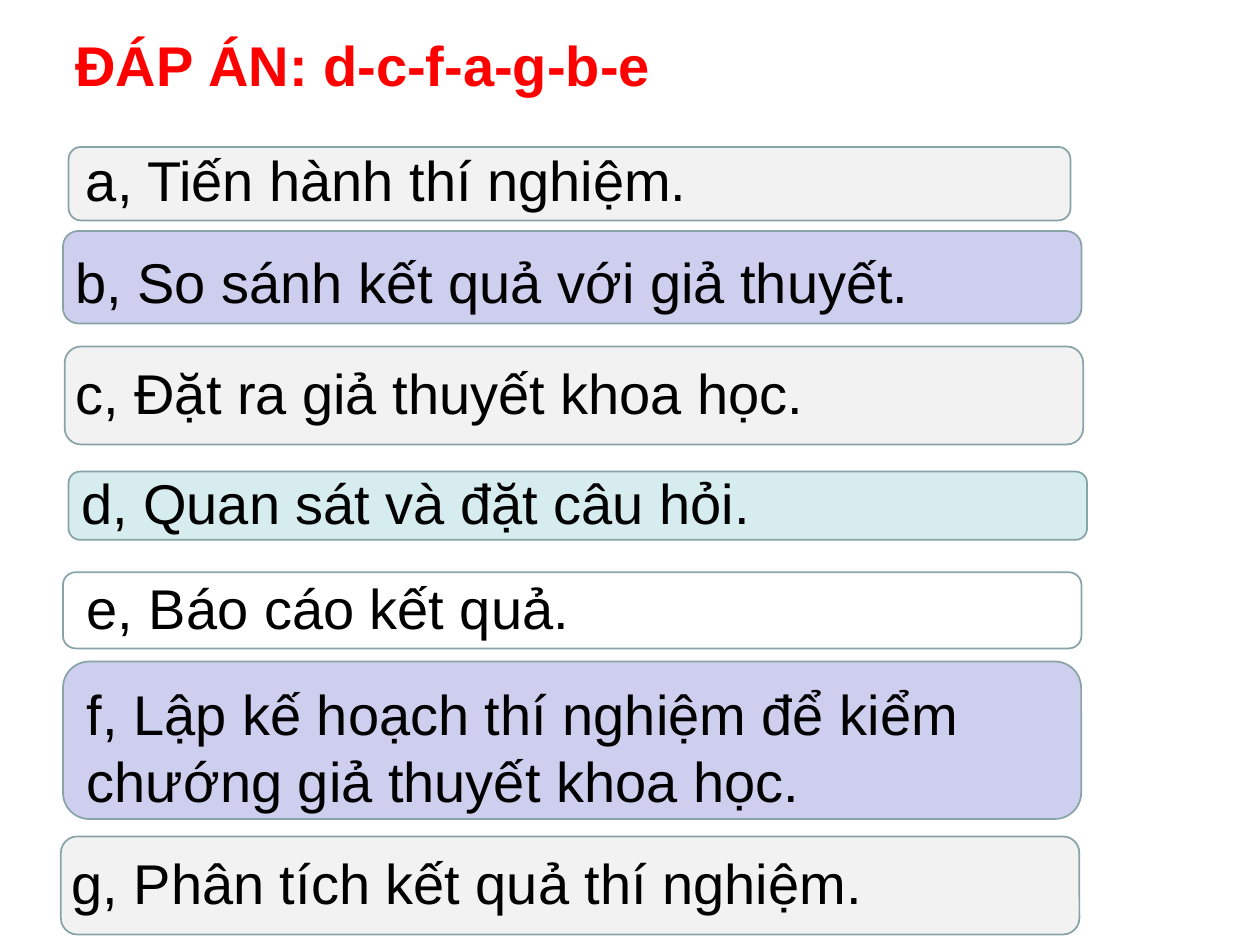
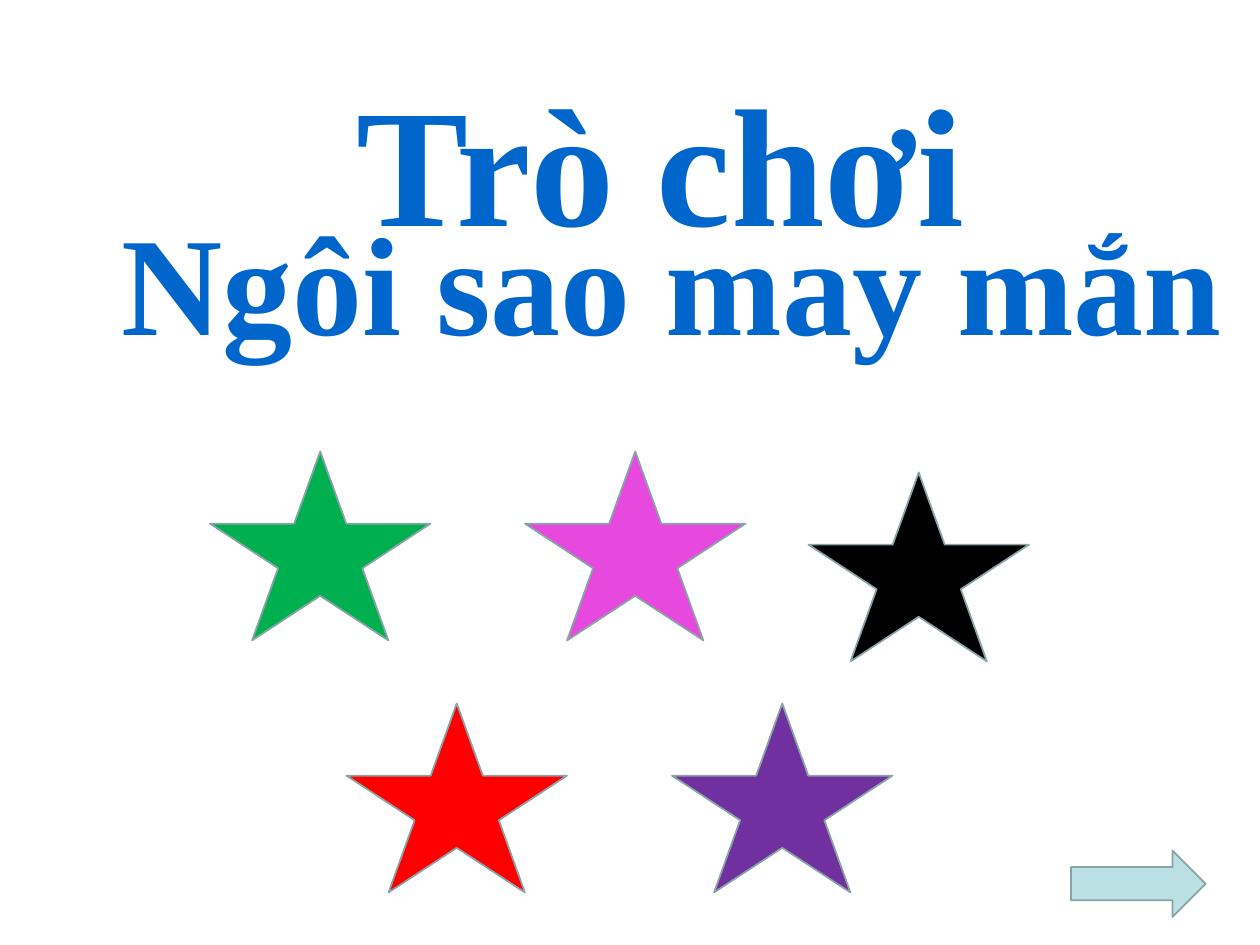
from dataclasses import dataclass

from lxml import etree
from pptx import Presentation
from pptx.dml.color import RGBColor
from pptx.enum.shapes import MSO_SHAPE
from pptx.enum.text import MSO_AUTO_SIZE, PP_ALIGN
from pptx.oxml.ns import qn
from pptx.util import Pt

ROUND = MSO_SHAPE.ROUNDED_RECTANGLE
STAR = MSO_SHAPE.STAR_5_POINT
ARROW = MSO_SHAPE.RIGHT_ARROW
GROW = MSO_AUTO_SIZE.SHAPE_TO_FIT_TEXT
FIXED = MSO_AUTO_SIZE.NONE
LEFT, CENTER = PP_ALIGN.LEFT, PP_ALIGN.CENTER


@dataclass(frozen=True)
class Theme:
    sans: str = "Arial"
    serif: str = "Times New Roman"
    body: int = 32
    game: int = 96
    game_name: int = 80
    edge: str = "89A4A7"
    black: str = "000000"
    red: str = "FF0000"
    blue: str = "0066CC"
    glow: str = "99CCFF"
    grey: str = "F2F2F2"
    lilac: str = "CECEEF"
    mint: str = "D6ECEE"
    white: str = "FFFFFF"
    teal: str = "BBE0E3"
    green: str = "00B050"
    pink: str = "E749DF"
    purple: str = "7030A0"


T = Theme()

ANSWER = ("ĐÁP ÁN: d-c-f-a-g-b-e", (36, 13.7, 660, 46))
STEPS = [
    ("a, Tiến hành thí nghiệm.", T.grey, (39.2, 84, 572.5, 42), (42, 79.6, 579, 46)),
    ("b, So sánh kết quả với giả thuyết.", T.lilac, (36, 132, 582, 52.8), (36, 137.8, 612, 46)),
    ("c, Đặt ra giả thuyết khoa học.", T.grey, (37, 198, 582, 56), (36, 201.5, 583, 46)),
    ("d, Quan sát và đặt câu hỏi.", T.mint, (39.2, 269.5, 582, 39), (39.2, 264.3, 558, 46)),
    ("e, Báo cáo kết quả.", T.white, (36, 327, 582, 43.5), (42.5, 324, 559, 46)),
    ("f, Lập kế hoạch thí nghiệm để kiểm chướng giả thuyết khoa học.", T.lilac,
     (36, 378, 581.8, 90), (42.5, 384.8, 605.5, 84)),
    ("g, Phân tích kết quả thí nghiệm.", T.grey, (34.8, 478, 582, 56), (33.8, 481.3, 583, 46)),
]
GAME_TITLES = [
    ("Trò chơi", T.game, (197.5, 30, 360, 72)),
    ("Ngôi sao may mắn", T.game_name, (84, 108, 600, 108)),
]
STAR_SIZE = (126, 108)
STARS = [
    (T.green, 120, 258),
    (T.pink, 300, 258),
    (T.black, 462, 270),
    (T.red, 198, 402),
    (T.purple, 384, 402),
]
NEXT_ARROW = (612, 486, 77, 38)


def points(box):
    return [Pt(v) for v in box]


def add_figure(s, kind, box, fill):
    sp = s.shapes.add_shape(kind, *points(box))
    sp.shadow.inherit = False
    sp.fill.solid()
    sp.fill.fore_color.rgb = RGBColor.from_string(fill)
    sp.line.color.rgb = RGBColor.from_string(T.edge)
    sp.line.width = Pt(1)


def add_text(s, text, box, color, wrap=True, fit=GROW, align=LEFT, **fmt):
    tf = s.shapes.add_textbox(*points(box)).text_frame
    tf.word_wrap = wrap
    tf.auto_size = fit
    p = tf.paragraphs[0]
    p.alignment = align
    r = p.add_run()
    r.text = text
    for name, value in fmt.items():
        setattr(r.font, name, value)
    r.font.color.rgb = RGBColor.from_string(color)
    return r


def outline(r, color, width):
    ln = etree.Element(qn("a:ln"), w=str(Pt(width)))
    fill = etree.SubElement(ln, qn("a:solidFill"))
    etree.SubElement(fill, qn("a:srgbClr"), val=color)
    r.font._element.insert(0, ln)


def build_answers(s):
    body = {"name": T.sans, "size": Pt(T.body)}
    add_text(s, *ANSWER, T.red, bold=True, **body)
    for text, fill, bar, box in STEPS:
        add_figure(s, ROUND, bar, fill)
        add_text(s, text, box, T.black, **body)


def build_game(s):
    for fill, x, y in STARS:
        add_figure(s, STAR, (x, y, *STAR_SIZE), fill)
    add_figure(s, ARROW, NEXT_ARROW, T.teal)
    for text, size, box in GAME_TITLES:
        r = add_text(s, text, box, T.blue, wrap=False, fit=FIXED, align=CENTER,
                     name=T.serif, size=Pt(size), bold=True)
        outline(r, T.glow, 1.5)


def main():
    prs = Presentation()
    prs.slide_width, prs.slide_height = Pt(720), Pt(540)
    for build in (build_answers, build_game):
        build(prs.slides.add_slide(prs.slide_layouts[6]))
    prs.save("out.pptx")


if __name__ == "__main__":
    main()
